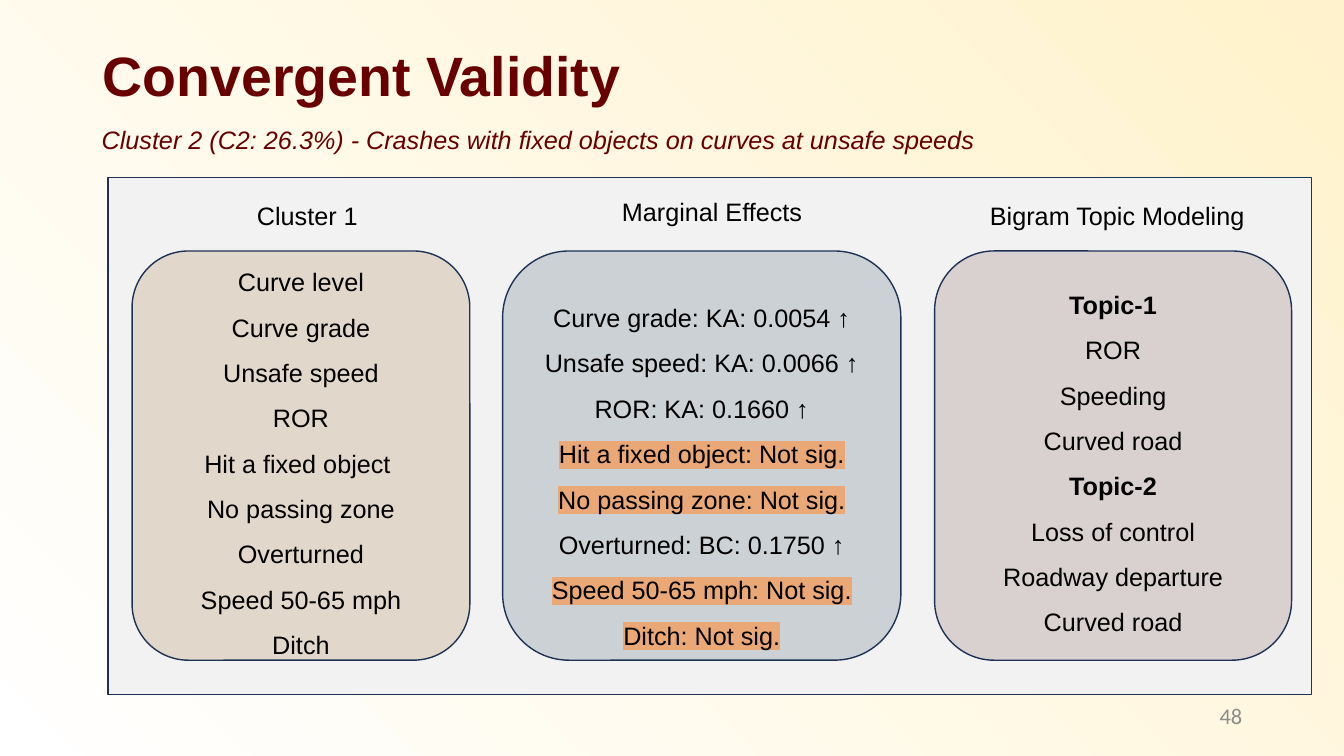
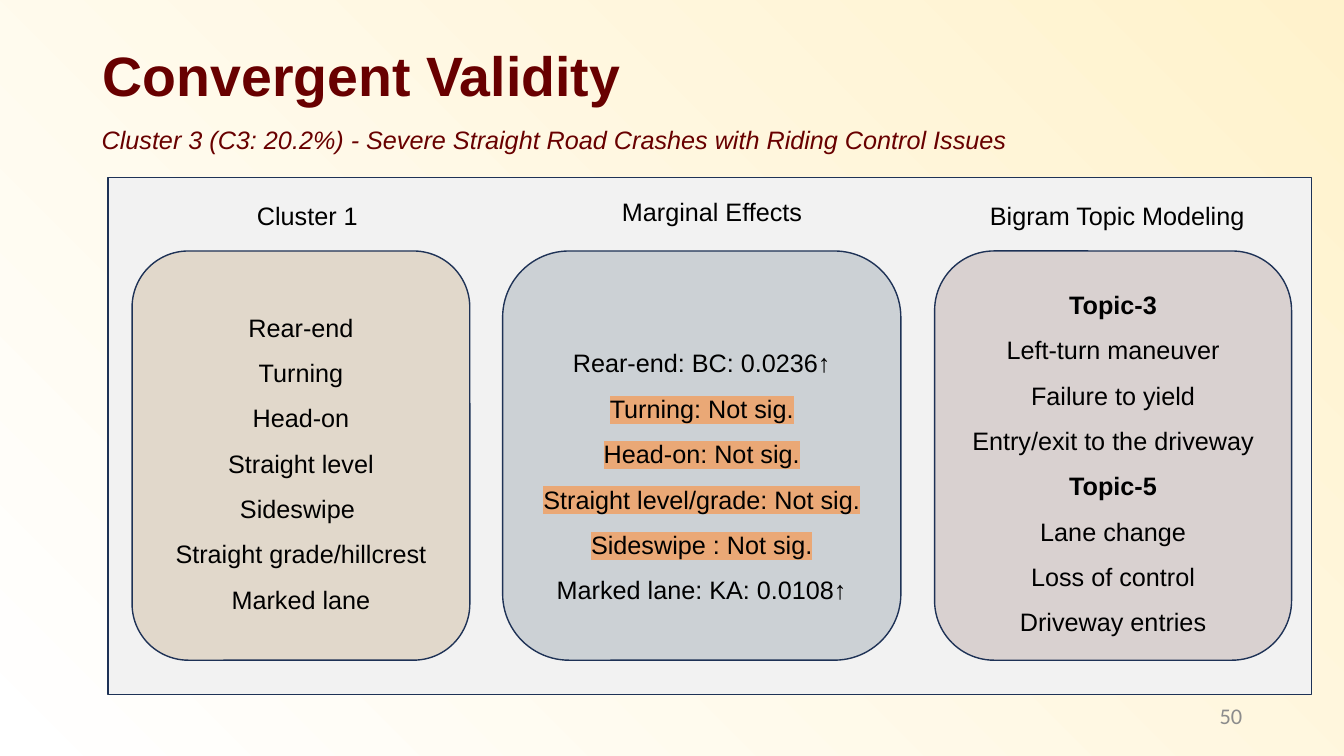
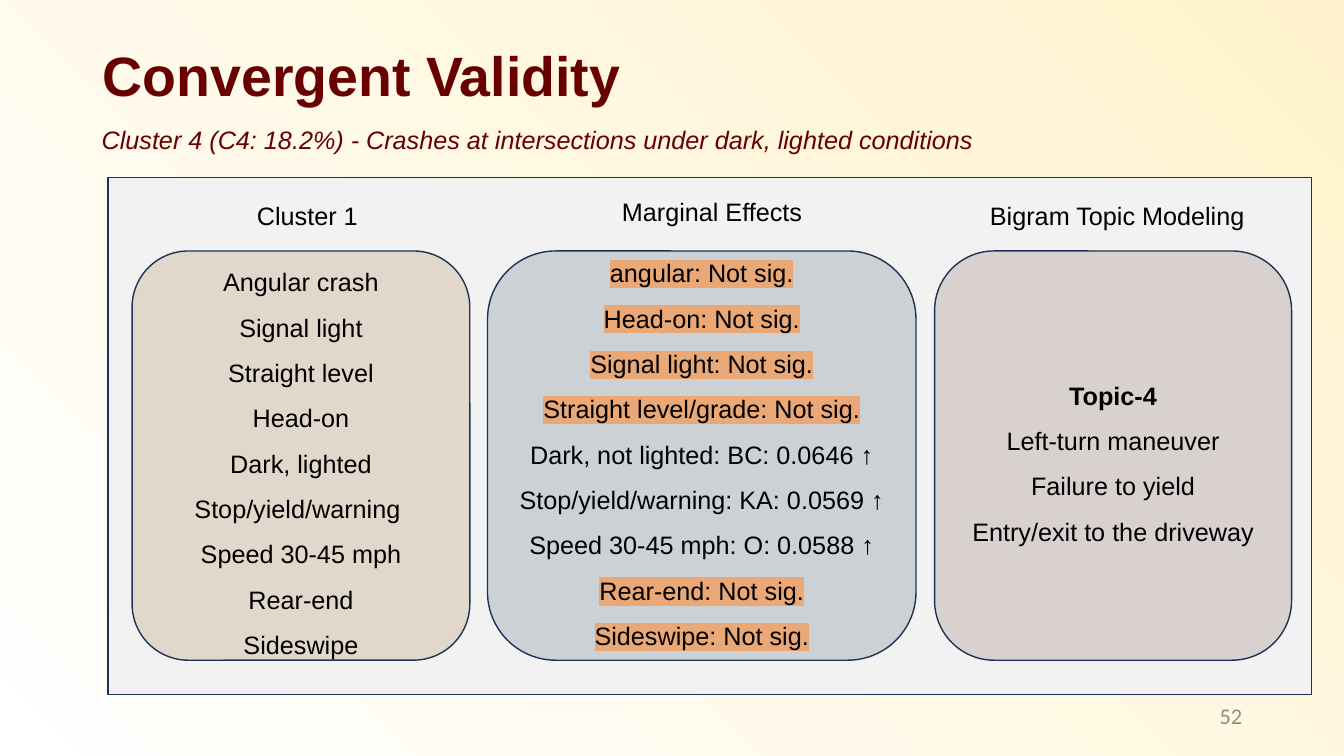
from lxml import etree
from pptx import Presentation
from pptx.dml.color import RGBColor
from pptx.enum.shapes import MSO_SHAPE
from pptx.enum.text import MSO_ANCHOR, MSO_AUTO_SIZE, PP_ALIGN
from pptx.oxml.ns import qn
from pptx.util import Inches, Pt

RECT, ROUNDED = MSO_SHAPE.RECTANGLE, MSO_SHAPE.ROUNDED_RECTANGLE
LEFT, CENTER, RIGHT = PP_ALIGN.LEFT, PP_ALIGN.CENTER, PP_ALIGN.RIGHT
TOP, MIDDLE = MSO_ANCHOR.TOP, MSO_ANCHOR.MIDDLE
FIXED = MSO_AUTO_SIZE.NONE

CREAM = RGBColor(0xFF, 0xF2, 0xCC)
WHITE = RGBColor(0xFF, 0xFF, 0xFF)
MAROON = RGBColor(0x68, 0x00, 0x00)
BLACK = RGBColor(0x00, 0x00, 0x00)
GRAY = RGBColor(0x8C, 0x8C, 0x8C)
PALE_GRAY = RGBColor(0xF2, 0xF2, 0xF2)
NAVY = RGBColor(0x1E, 0x32, 0x56)
TAN = RGBColor(0xBD, 0x9C, 0x71)
SLATE = RGBColor(0x76, 0x86, 0x92)
MAUVE = RGBColor(0xC1, 0xB1, 0xAF)
ORANGE = RGBColor(0xEA, 0xA8, 0x76)

PANEL_TOP, PANEL_HEIGHT = 2.49, 4.06
INSET = 0.05


class Deck:
    def __init__(self):
        self.prs = Presentation()
        self.prs.slide_width = Inches(13.33)
        self.prs.slide_height = Inches(7.5)
        backdrop = self.prs.slide_master.background.fill
        backdrop.gradient()
        backdrop.gradient_angle = 225
        for stop, color in zip(backdrop.gradient_stops, (CREAM, WHITE)):
            stop.color.rgb = color
        self.slide = None
        self.group = None

    def style(self, paragraph, size=18, color=BLACK, name="Arial", align=LEFT,
              bold=False, italic=False):
        paragraph.alignment = align
        font = paragraph.font
        font.name, font.size, font.color.rgb = name, Pt(size), color
        font.bold, font.italic = bold, italic

    def add_slide(self, title):
        self.slide = self.prs.slides.add_slide(self.prs.slide_layouts[5])
        heading = self.slide.shapes.title
        heading.left, heading.top = Inches(0.92), Inches(0.4)
        heading.width, heading.height = Inches(12.42), Inches(0.75)
        frame = heading.text_frame
        frame.text = title
        frame.auto_size = FIXED
        frame.vertical_anchor = MIDDLE
        frame.paragraphs[0].line_spacing = 0.9
        self.style(frame.paragraphs[0], 39.6, MAROON, bold=True)

    def label(self, shapes, text, left, top, width, anchor=TOP, **look):
        box = shapes.add_textbox(Inches(left), Inches(top), Inches(width), Inches(0.4))
        frame = box.text_frame
        frame.word_wrap = True
        frame.vertical_anchor = anchor
        frame.text = text
        self.style(frame.paragraphs[0], **look)

    def block(self, kind, left, top, width, height, color, opacity=100):
        shape = self.group.shapes.add_shape(
            kind, Inches(left), Inches(top), Inches(width), Inches(height))
        shape.shadow.inherit = False
        shape.fill.solid()
        shape.fill.fore_color.rgb = color
        if opacity < 100:
            tint = shape._element.spPr.find(qn("a:solidFill")).find(qn("a:srgbClr"))
            etree.SubElement(tint, qn("a:alpha")).set("val", str(opacity * 1000))
        shape.line.color.rgb = NAVY
        shape.line.width = Pt(1)
        return shape

    def highlight(self, run):
        mark = etree.SubElement(run._r.get_or_add_rPr(), qn("a:highlight"))
        etree.SubElement(mark, qn("a:srgbClr")).set("val", str(ORANGE))

    def panel(self, lines, left, width, color, opacity, shift=0):
        shape = self.block(ROUNDED, left, PANEL_TOP, width, PANEL_HEIGHT, color, opacity)
        frame = shape.text_frame
        frame.word_wrap = True
        frame.vertical_anchor = MIDDLE
        frame.margin_top = Inches(INSET + 2 * max(shift, 0))
        frame.margin_bottom = Inches(INSET + 2 * max(-shift, 0))
        frame.text = "\n".join(lines)
        for paragraph in frame.paragraphs:
            paragraph.line_spacing = 1.5
            self.style(paragraph, align=CENTER, bold=paragraph.text.startswith("Topic-"))
            if paragraph.text.endswith("Not sig."):
                self.highlight(paragraph.runs[0])

    def comparison(self, number, subtitle, cluster, effects, topics,
                   effects_width=3.95, effects_shift=0.13):
        self.add_slide("Convergent Validity")
        shapes = self.slide.shapes
        self.label(shapes, number, 9.42, 6.9, 3, MIDDLE, size=16, color=GRAY,
                   name="Calibri", align=RIGHT)
        self.label(shapes, subtitle, 0.91, 1.18, 11.04, color=MAROON, italic=True)
        self.group = shapes.add_group_shape()
        self.block(RECT, 1.07, 1.76, 11.94, 5.13, PALE_GRAY)
        for header, left, top, width in (("Cluster 1", 2.45, 1.94, 1.32),
                                         ("Marginal Effects", 6.07, 1.9, 2.15),
                                         ("Bigram Topic Modeling", 9.72, 1.94, 2.95)):
            self.label(self.group.shapes, header, left, top, width)
        self.panel(cluster, 1.31, 3.35, TAN, 30)
        self.panel(effects, 6.96 - effects_width / 2, effects_width, SLATE, 30,
                   effects_shift)
        self.panel(topics, 9.27, 3.54, MAUVE, 50)


def main():
    deck = Deck()
    deck.comparison(
        "48",
        "Cluster 2 (C2: 26.3%) - Crashes with fixed objects on curves at unsafe speeds",
        ["Curve level", "Curve grade", "Unsafe speed", "ROR", "Hit a fixed object ",
         "No passing zone", "Overturned", "Speed 50-65 mph", "Ditch"],
        ["Curve grade: KA: 0.0054 ↑", "Unsafe speed: KA: 0.0066 ↑", "ROR: KA: 0.1660 ↑",
         "Hit a fixed object: Not sig.", "No passing zone: Not sig.",
         "Overturned: BC: 0.1750 ↑", "Speed 50-65 mph: Not sig.", "Ditch: Not sig."],
        ["Topic-1", "ROR", "Speeding", "Curved road",
         "Topic-2", "Loss of control", "Roadway departure", "Curved road"])
    deck.comparison(
        "50",
        "Cluster 3 (C3: 20.2%) - Severe Straight Road Crashes with Riding Control Issues",
        ["Rear-end", "Turning", "Head-on", "Straight level", "Sideswipe ",
         "Straight grade/hillcrest", "Marked lane"],
        ["Rear-end: BC: 0.0236↑", "Turning: Not sig.", "Head-on: Not sig.",
         "Straight level/grade: Not sig.", "Sideswipe : Not sig.",
         "Marked lane: KA: 0.0108↑"],
        ["Topic-3", "Left-turn maneuver", "Failure to yield", "Entry/exit to the driveway",
         "Topic-5", "Lane change", "Loss of control", "Driveway entries"])
    deck.comparison(
        "52",
        "Cluster 4 (C4: 18.2%) - Crashes at intersections under dark, lighted conditions",
        ["Angular crash", "Signal light", "Straight level", "Head-on", "Dark, lighted",
         "Stop/yield/warning ", "Speed 30-45 mph", "Rear-end", "Sideswipe"],
        ["angular: Not sig.", "Head-on: Not sig.", "Signal light: Not sig.",
         "Straight level/grade: Not sig.", "Dark, not lighted: BC: 0.0646 ↑",
         "Stop/yield/warning: KA: 0.0569 ↑", "Speed 30-45 mph: O: 0.0588 ↑",
         "Rear-end: Not sig.", "Sideswipe: Not sig."],
        ["Topic-4", "Left-turn maneuver", "Failure to yield", "Entry/exit to the driveway"],
        effects_width=4.25, effects_shift=-0.09)
    deck.prs.save("out.pptx")


if __name__ == "__main__":
    main()
